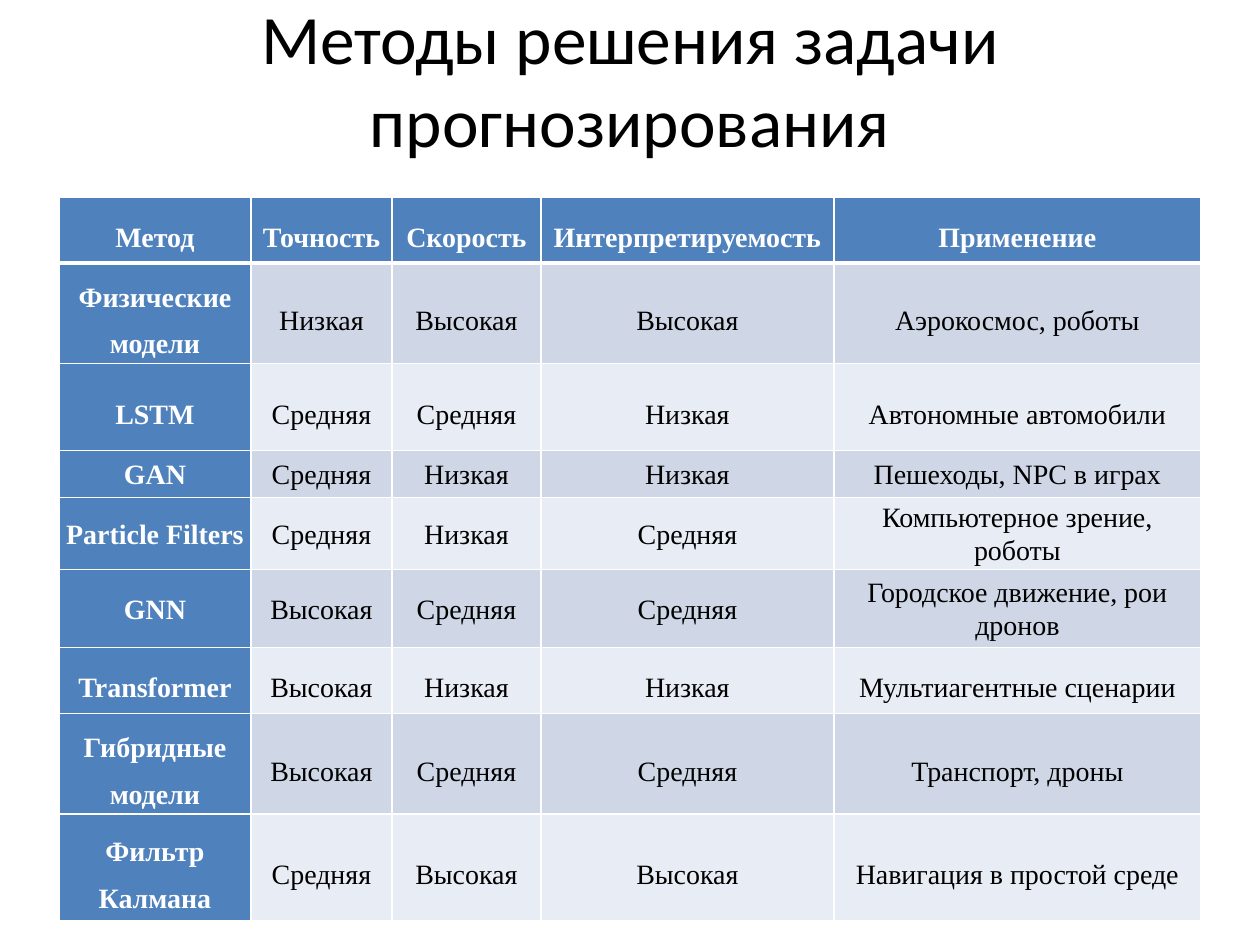
from dataclasses import dataclass

from lxml.etree import SubElement
from pptx import Presentation
from pptx.dml.color import RGBColor
from pptx.enum.text import MSO_ANCHOR as Anchor, PP_ALIGN as Align
from pptx.oxml.ns import qn
from pptx.util import Emu, Pt

# Content
TITLE = "Методы решения задачи прогнозирования"
HEAD = ("Метод", "Точность", "Скорость", "Интерпретируемость", "Применение")
LOW, MID, HIGH = "Низкая", "Средняя", "Высокая"
LOOSE, TIGHT = 1.5, 1.07

# Row height in px, line spacing, cell texts
ROWS = [
    (66, LOOSE, HEAD),
    (66, LOOSE, ("Физические модели", LOW, HIGH, HIGH, "Аэрокосмос, роботы")),
    (87, LOOSE, ("LSTM", MID, MID, LOW, "Автономные автомобили")),
    (47, TIGHT, ("GAN", MID, LOW, LOW, "Пешеходы, NPC в играх")),
    (62, TIGHT, ("Particle Filters", MID, LOW, MID, "Компьютерное зрение, роботы")),
    (78, TIGHT, ("GNN", HIGH, MID, MID, "Городское движение, рои дронов")),
    (66, LOOSE, ("Transformer", HIGH, LOW, LOW, "Мультиагентные сценарии")),
    (66, LOOSE, ("Гибридные модели", HIGH, MID, MID, "Транспорт, дроны")),
    (107, LOOSE, ("Фильтр Калмана", MID, HIGH, HIGH, "Навигация в простой среде")),
]
COLS = (192, 141, 149, 293, 367)


@dataclass(frozen=True)
class Theme:
    accent: str = "4F81BD"
    bands: tuple = ("E8ECF4", "CFD7E7")
    dark: str = "000000"
    light: str = "FFFFFF"
    title_font: str = "Calibri"
    table_font: str = "Times New Roman"
    title_size: float = 39.6
    table_size: int = 16
    thin: int = 1
    thick: int = 3


theme = Theme()


def px(n):
    return Emu(round(n * 914400 / 126))


def set_text(frame, text, font, size, color, bold=False, space=1.0):
    frame.text = text
    frame.word_wrap = True
    para = frame.paragraphs[0]
    para.alignment = Align.CENTER
    para.line_spacing = space
    style = para.runs[0].font
    style.name, style.size, style.bold = font, Pt(size), bold
    style.color.rgb = RGBColor.from_string(color)


def set_edge(cell, side, width):
    props = cell._tc.get_or_add_tcPr()
    line = SubElement(props, qn(f"a:ln{side}"), w=str(Pt(width)))
    fill = SubElement(line, qn("a:solidFill"))
    SubElement(fill, qn("a:srgbClr"), val=theme.light)


prs = Presentation()
prs.slide_width, prs.slide_height = px(1260), px(945)
slide = prs.slides.add_slide(prs.slide_layouts[6])

# Title
title = slide.shapes.add_textbox(px(63), px(0), px(1134), px(157)).text_frame
title.vertical_anchor = Anchor.MIDDLE
set_text(title, TITLE, theme.title_font, theme.title_size, theme.dark)

# Table grid
frame = slide.shapes.add_table(
    len(ROWS), len(COLS), px(59), px(197), px(sum(COLS)), px(709))
table = frame.table
for col, width in zip(table.columns, COLS):
    col.width = px(width)

# Cells: header row and first column share the accent style
for r, (height, space, texts) in enumerate(ROWS):
    table.rows[r].height = px(height)
    for c, text in enumerate(texts):
        cell = table.cell(r, c)
        key = r == 0 or c == 0
        cell.margin_left = cell.margin_right = px(5)
        cell.margin_top = cell.margin_bottom = 0
        cell.vertical_anchor = Anchor.MIDDLE
        for side in "LRTB":
            rule = (r, side) in ((0, "B"), (1, "T"))
            set_edge(cell, side, theme.thick if rule else theme.thin)
        cell.fill.solid()
        cell.fill.fore_color.rgb = RGBColor.from_string(
            theme.accent if key else theme.bands[r % 2])
        set_text(cell.text_frame, text, theme.table_font, theme.table_size,
                 theme.light if key else theme.dark, key, space)

prs.save("out.pptx")
